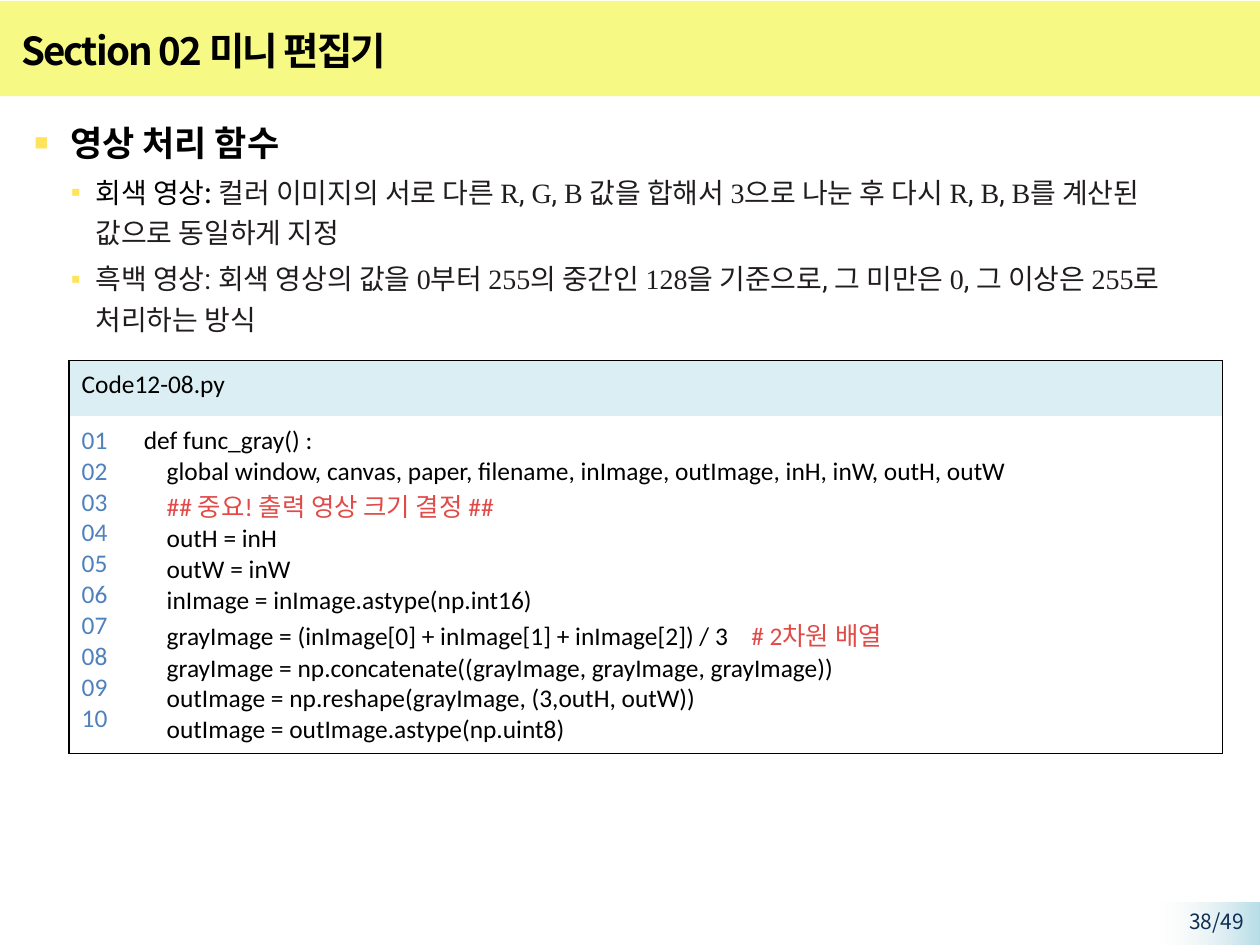
from itertools import groupby

from lxml import etree
from pptx import Presentation
from pptx.dml.color import RGBColor
from pptx.enum.shapes import MSO_SHAPE
from pptx.enum.text import MSO_ANCHOR, PP_ALIGN
from pptx.oxml.ns import qn
from pptx.util import Pt

RECTANGLE = MSO_SHAPE.RECTANGLE
MIDDLE = MSO_ANCHOR.MIDDLE
LEFT, RIGHT = PP_ALIGN.LEFT, PP_ALIGN.RIGHT

CODE = [
    [("def func_gray() :", None)],
    [("    global window, canvas, paper, filename, inImage, outImage, inH, inW, outH, outW", None)],
    [("    ## 중요! 출력 영상 크기 결정 ##", "E04B49")],
    [("    outH = inH", None)],
    [("    outW = inW", None)],
    [("    inImage = inImage.astype(np.int16)", None)],
    [("    grayImage = (inImage[0] + inImage[1] + inImage[2]) / 3    ", None), ("# 2차원 배열", "E04B49")],
    [("    grayImage = np.concatenate((grayImage, grayImage, grayImage))", None)],
    [("    outImage = np.reshape(grayImage, (3,outH, outW))", None)],
    [("    outImage = outImage.astype(np.uint8)", None)],
]


def colour(value):
    return RGBColor.from_string(value)


def add_element(parent, tag, **attributes):
    return etree.SubElement(parent, qn(tag), attributes)


def is_latin(letter):
    return letter.isascii() and letter.isalnum()


class SlideBuilder:
    korean = "Noto Sans CJK KR"
    latin = "Times New Roman"
    mixed = "Roboto"
    code = "Calibri"
    black = "000000"
    body = "211D1E"
    accent = "FFE45B"

    def __init__(self, deck):
        self.page = deck.slides.add_slide(deck.slide_layouts[6])

    def band(self, left, top, width, height, fill):
        shape = self.page.shapes.add_shape(RECTANGLE, Pt(left), Pt(top), Pt(width), Pt(height))
        shape.shadow.inherit = False
        shape.line.fill.background()
        shape.fill.solid()
        shape.fill.fore_color.rgb = colour(fill)
        return shape

    def fading_band(self, left, top, width, height, start, end):
        fill = self.band(left, top, width, height, start).fill
        fill.gradient()
        fill.gradient_angle = 180
        for stop, value in zip(fill.gradient_stops, (start, end)):
            stop.color.rgb = colour(value)
        clear = fill.gradient_stops[1].color._xFill.find(qn("a:srgbClr"))
        add_element(clear, "a:alpha", val="0")

    def text_frame(self, left, top, width, height):
        box = self.page.shapes.add_textbox(Pt(left), Pt(top), Pt(width), Pt(height))
        box.text_frame.word_wrap = True
        return box.text_frame

    def style(self, para, size, name, value, bold=False):
        font = para.font
        font.size = Pt(size)
        font.bold = bold
        font.color.rgb = colour(value)
        font.name = name
        add_element(font._rPr, "a:ea", typeface=self.korean)

    def add_span(self, para, text, name=None, value=None):
        span = para.add_run()
        span.text = text
        if name:
            span.font.name = name
        if value:
            span.font.color.rgb = colour(value)
        return span

    def label(self, left, top, width, height, text, size, value, align=LEFT, bold=False, spacing=0):
        frame = self.text_frame(left, top, width, height)
        frame.vertical_anchor = MIDDLE
        para = frame.paragraphs[0]
        para.alignment = align
        self.style(para, size, self.korean, value, bold)
        span = self.add_span(para, text)
        if spacing:
            span._r.get_or_add_rPr().set("spc", str(spacing * 100))

    def bullet(self, para, margin, hanging, scale):
        para.line_spacing = 1.2
        settings = para._p.get_or_add_pPr()
        settings.set("marL", str(Pt(margin)))
        settings.set("indent", str(-Pt(hanging)))
        add_element(add_element(settings, "a:buClr"), "a:srgbClr", val=self.accent)
        add_element(settings, "a:buSzPct", val=str(scale * 1000))
        add_element(settings, "a:buFont", typeface=self.latin)
        add_element(settings, "a:buChar", char="▪")

    def outline(self, left, top, width, height, heading, items):
        frame = self.text_frame(left, top, width, height)
        para = frame.paragraphs[0]
        self.bullet(para, 28, 21, 130)
        self.style(para, 20, self.korean, self.black, True)
        self.add_span(para, heading)
        for lead, text in items:
            para = frame.add_paragraph()
            para.space_before = Pt(3.2)
            self.bullet(para, 42.5, 14, 100)
            self.style(para, 16, self.mixed, self.body)
            if lead:
                self.add_span(para, lead, self.korean, self.black)
            for latin, letters in groupby(text, is_latin):
                self.add_span(para, "".join(letters), self.latin if latin else None)

    def border(self, cell, sides):
        settings = cell._tc.get_or_add_tcPr()
        for side in "LRTB":
            if side in sides:
                line = add_element(settings, f"a:ln{side}", w=str(Pt(1)))
                add_element(add_element(line, "a:solidFill"), "a:srgbClr", val=self.black)
            else:
                add_element(add_element(settings, f"a:ln{side}", w="0"), "a:noFill")

    def fill_cell(self, cell, lines, value, sides, fill):
        cell.margin_left = cell.margin_right = Pt(7.2)
        cell.margin_top = cell.margin_bottom = Pt(5)
        self.border(cell, sides)
        cell.fill.solid()
        cell.fill.fore_color.rgb = colour(fill)
        frame = cell.text_frame
        for index, line in enumerate(lines):
            para = frame.add_paragraph() if index else frame.paragraphs[0]
            self.style(para, 14.5, self.code, value)
            for text, special in line:
                self.add_span(para, text, value=special)

    def listing(self, left, top, widths, heights, title, lines):
        frame = self.page.shapes.add_table(
            2, 2, Pt(left), Pt(top), Pt(sum(widths)), Pt(sum(heights)))
        table = frame.table
        table.first_row = table.horz_banding = False
        for column, width in zip(table.columns, widths):
            column.width = Pt(width)
        for row, height in zip(table.rows, heights):
            row.height = Pt(height)
        table.cell(0, 0).merge(table.cell(0, 1))
        numbers = [[(f"{number:02}", None)] for number in range(1, len(lines) + 1)]
        self.fill_cell(table.cell(0, 0), [[(title, None)]], self.black, "LRT", "DBEEF4")
        self.fill_cell(table.cell(0, 1), [], self.black, "RT", "DBEEF4")
        self.fill_cell(table.cell(1, 0), numbers, "4F81BD", "LB", "FFFFFF")
        self.fill_cell(table.cell(1, 1), lines, self.black, "RB", "FFFFFF")


def main():
    deck = Presentation()
    deck.slide_width, deck.slide_height = Pt(720), Pt(540)
    slide = SlideBuilder(deck)
    slide.band(0, 0.5, 720, 54.5, "F6F983")
    slide.fading_band(662.5, 515.5, 57.5, 24.5, "B7DEE8", "F2F2F2")
    slide.label(651.5, 515.5, 66.5, 22, "38/49", 12, "0F2E53", align=RIGHT)
    slide.label(5, 10, 613, 37.5, "Section 02 미니 편집기", 22, slide.black, bold=True, spacing=-1)
    slide.outline(5, 61, 700, 446.5, "영상 처리 함수", [
        ("회색 영상: ", "컬러 이미지의 서로 다른 R, G, B 값을 합해서 3으로 나눈 후 다시 R, B, B를 계산된 값으로 동일하게 지정"),
        ("", "흑백 영상: 회색 영상의 값을 0부터 255의 중간인 128을 기준으로, 그 미만은 0, 그 이상은 255로 처리하는 방식"),
    ])
    slide.listing(39.5, 206, (35.5, 623.5), (32, 192.5), "Code12-08.py", CODE)
    deck.save("out.pptx")


if __name__ == "__main__":
    main()
